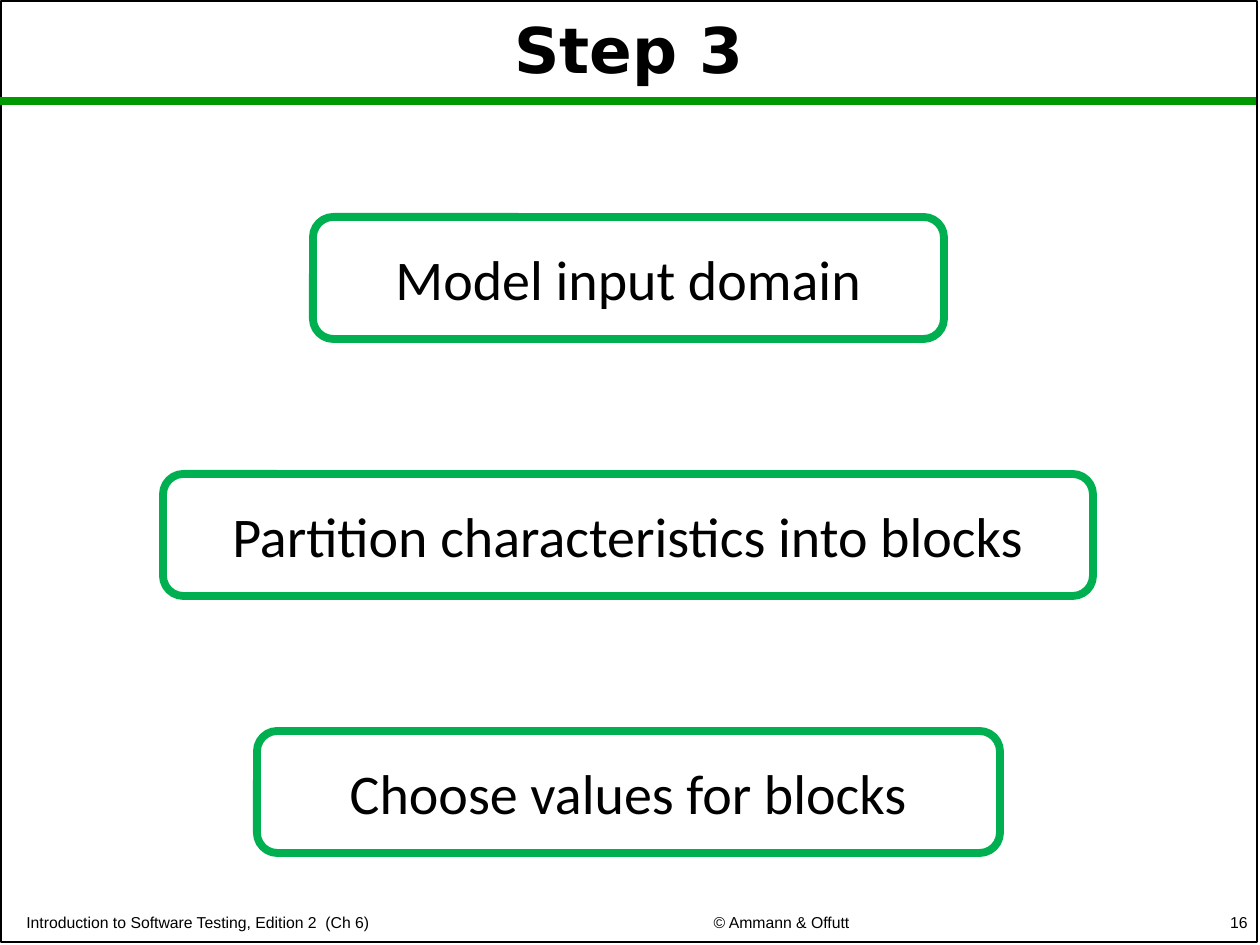
from pptx import Presentation
from pptx.dml.color import RGBColor
from pptx.enum.shapes import MSO_CONNECTOR, MSO_SHAPE
from pptx.enum.text import MSO_ANCHOR, PP_ALIGN
from pptx.oxml.ns import qn
from pptx.util import Pt
from lxml.etree import SubElement

PX = 914400 // 126
WIDE, HIGH = 1260, 945
MID, TOP, STEP, TALL = 628, 217, 257, 122
BLACK, WHITE, GREEN, RULE = "000000", "FFFFFF", "00B050", "009900"

TITLE = "Step 3"
STEPS = [
    ("Model input domain", 631),
    ("Partition characteristics into blocks", 930),
    ("Choose values for blocks", 743),
]
FOOTER = [
    ("Introduction to Software Testing, Edition 2  (Ch 6)", 14, 543, PP_ALIGN.LEFT),
    ("© Ammann & Offutt", 582, 399, PP_ALIGN.CENTER),
    ("16", 998, 262, PP_ALIGN.RIGHT),
]


def px(*vals):
    """Turn pixels into EMU."""
    return [val * PX for val in vals]


def color(code):
    """Make a colour from a hex string."""
    return RGBColor.from_string(code)


def write(shape, text, font="Arial", size=9, bold=False, align=PP_ALIGN.CENTER,
          anchor=MSO_ANCHOR.MIDDLE, space=1.0):
    """Put one formatted paragraph into a shape."""
    frame = shape.text_frame
    frame.word_wrap = True
    frame.vertical_anchor = anchor
    para = frame.paragraphs[0]
    para.alignment, para.line_spacing = align, space
    run = para.add_run()
    run.text = text
    run.font.name, run.font.size, run.font.bold = font, Pt(size), bold
    run.font.color.rgb = color(BLACK)


def box(slide, kind, area, edge, width):
    """Draw a white shape with a coloured edge."""
    shape = slide.shapes.add_shape(kind, *px(*area))
    shape.shadow.inherit = False
    shape.fill.solid()
    shape.fill.fore_color.rgb = color(WHITE)
    shape.line.color.rgb = color(edge)
    shape.line.width = Pt(width)
    return shape


def main():
    """Build the slide and save it."""
    deck = Presentation()
    deck.slide_width, deck.slide_height = px(WIDE, HIGH)
    slide = deck.slides.add_slide(deck.slide_layouts[6])

    box(slide, MSO_SHAPE.RECTANGLE, (1, 1, 1256, 941), BLACK, 1)
    rule = slide.shapes.add_connector(MSO_CONNECTOR.STRAIGHT, *px(0, 101, 1256, 101))
    rule.line.color.rgb = color(RULE)
    rule.line.width = Pt(4.5)
    SubElement(rule._element.spPr, qn("a:effectLst"))

    head = slide.shapes.add_textbox(*px(1, 14, 1256, 79))
    write(head, TITLE, font="DejaVu Sans", size=36, bold=True, space=0.9)

    for text, left, width, align in FOOTER:
        note = slide.shapes.add_textbox(*px(left, 904, width, 34))
        write(note, text, align=align, anchor=MSO_ANCHOR.BOTTOM)

    for row, (text, width) in enumerate(STEPS):
        area = (MID - width // 2, TOP + row * STEP, width, TALL)
        card = box(slide, MSO_SHAPE.ROUNDED_RECTANGLE, area, GREEN, 4.5)
        write(card, text, font="Calibri", size=32)

    deck.save("out.pptx")


if __name__ == "__main__":
    main()
